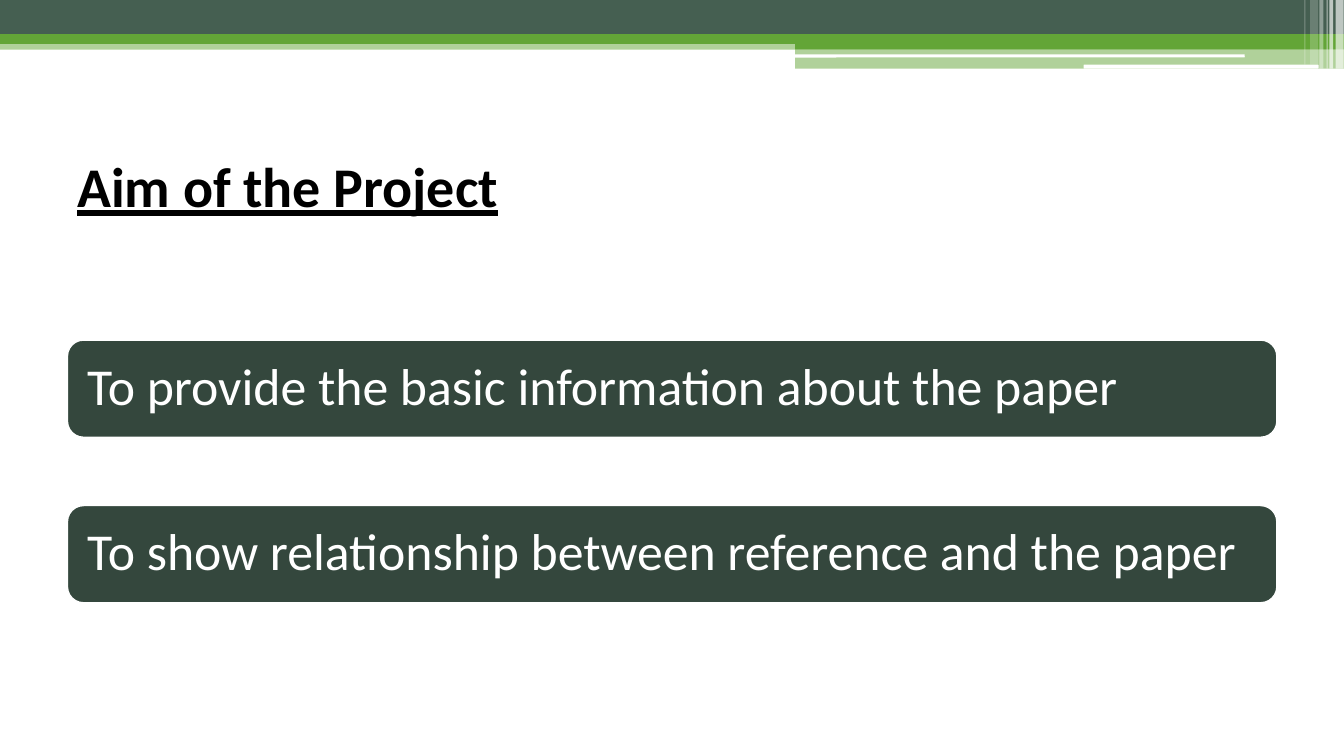
from dataclasses import dataclass

from lxml.etree import SubElement
from pptx import Presentation
from pptx.dml.color import RGBColor
from pptx.enum.shapes import MSO_SHAPE as Preset
from pptx.enum.text import MSO_ANCHOR as Anchor
from pptx.oxml.ns import qn
from pptx.shapes.autoshape import Shape
from pptx.slide import Slide
from pptx.util import Cm, Pt

WIDTH = 33.87
HEIGHT = 19.05
GREEN = "63A537"
SLATE = "455F51"
DARK = "34473D"
WHITE = "FFFFFF"
BLACK = "000000"


@dataclass(frozen=True)
class Block:
    left: float
    top: float
    width: float
    height: float
    color: str
    opacity: int = 100
    preset: Preset = Preset.RECTANGLE


HEADER_BANDS = [
    Block(0, 1.02, WIDTH, 0.23, GREEN, 50),
    Block(0, 0, WIDTH, 0.86, SLATE),
    Block(0, 0.86, WIDTH, 0.25, GREEN),
    Block(20.04, 0.99, 13.83, 0.25, GREEN),
    Block(20.04, 1.22, 13.83, 0.51, GREEN, 50),
    Block(20.02, 1.37, 11.35, 0.08, WHITE, preset=Preset.ROUNDED_RECTANGLE),
    Block(27.31, 1.63, 5.92, 0.1, WHITE, preset=Preset.ROUNDED_RECTANGLE),
]
EDGE_STRIPES = [
    Block(left, 0, width, height, WHITE, opacity)
    for left, width, height, opacity in [
        (33.66, 0.2, 1.73, 65),
        (33.5, 0.1, 1.73, 65),
        (33.43, 0.03, 1.73, 60),
        (33.25, 0.1, 1.73, 40),
        (33.02, 0.2, 1.63, 20),
        (32.87, 0.03, 1.63, 30),
    ]
]
AIMS = [
    "To provide the basic information about the paper",
    "To show relationship between reference and the paper",
]
CONTENT_LEFT = 1.7
CONTENT_WIDTH = 30.48
AIM_TOP = 8.57
AIM_PITCH = 4.17
AIM_HEIGHT = 2.45


def rgb(color: str) -> RGBColor:
    return RGBColor.from_string(color)


def draw_block(slide: Slide, block: Block) -> Shape:
    shape = slide.shapes.add_shape(
        block.preset, Cm(block.left), Cm(block.top), Cm(block.width), Cm(block.height)
    )
    shape.shadow.inherit = False
    shape.fill.solid()
    shape.fill.fore_color.rgb = rgb(block.color)
    shape.line.fill.background()
    if block.opacity < 100:
        color_element = shape.fill._xPr.find(f"{qn('a:solidFill')}/{qn('a:srgbClr')}")
        SubElement(color_element, qn("a:alpha"), val=str(block.opacity * 1000))
    return shape


def write_text(
    shape: Shape,
    text: str,
    *,
    size: float,
    color: str,
    bold: bool = False,
    underline: bool = False,
    inset: float = 0.25,
    line_spacing: float = 1.0,
) -> None:
    frame = shape.text_frame
    frame.word_wrap = True
    frame.vertical_anchor = Anchor.MIDDLE
    frame.margin_left = frame.margin_right = Cm(inset)
    frame.margin_top = frame.margin_bottom = Cm(inset)
    paragraph = frame.paragraphs[0]
    paragraph.alignment = Align.LEFT
    paragraph.line_spacing = line_spacing
    run = paragraph.add_run()
    run.text = text
    run.font.name = "Calibri"
    run.font.size = Pt(size)
    run.font.bold = bold
    run.font.underline = underline
    run.font.color.rgb = rgb(color)


def draw_aim(slide: Slide, index: int, text: str) -> None:
    top = AIM_TOP + index * AIM_PITCH
    bar = draw_block(
        slide,
        Block(CONTENT_LEFT, top, CONTENT_WIDTH, AIM_HEIGHT, DARK, preset=Preset.ROUNDED_RECTANGLE),
    )
    bar.line.color.rgb = rgb(WHITE)
    bar.line.width = Pt(1)
    write_text(bar, text, size=37, color=WHITE, inset=0.38, line_spacing=0.9)


def main() -> None:
    presentation = Presentation()
    presentation.slide_width = Cm(WIDTH)
    presentation.slide_height = Cm(HEIGHT)
    slide = presentation.slides.add_slide(presentation.slide_layouts[6])
    for block in HEADER_BANDS + EDGE_STRIPES:
        draw_block(slide, block)
    title = slide.shapes.add_textbox(Cm(CONTENT_LEFT), Cm(3.18), Cm(CONTENT_WIDTH), Cm(2.97))
    write_text(title, "Aim of the Project", size=40, color=BLACK, bold=True, underline=True)
    for index, aim in enumerate(AIMS):
        draw_aim(slide, index, aim)
    presentation.save("out.pptx")


from pptx.enum.text import PP_ALIGN as Align

main()
